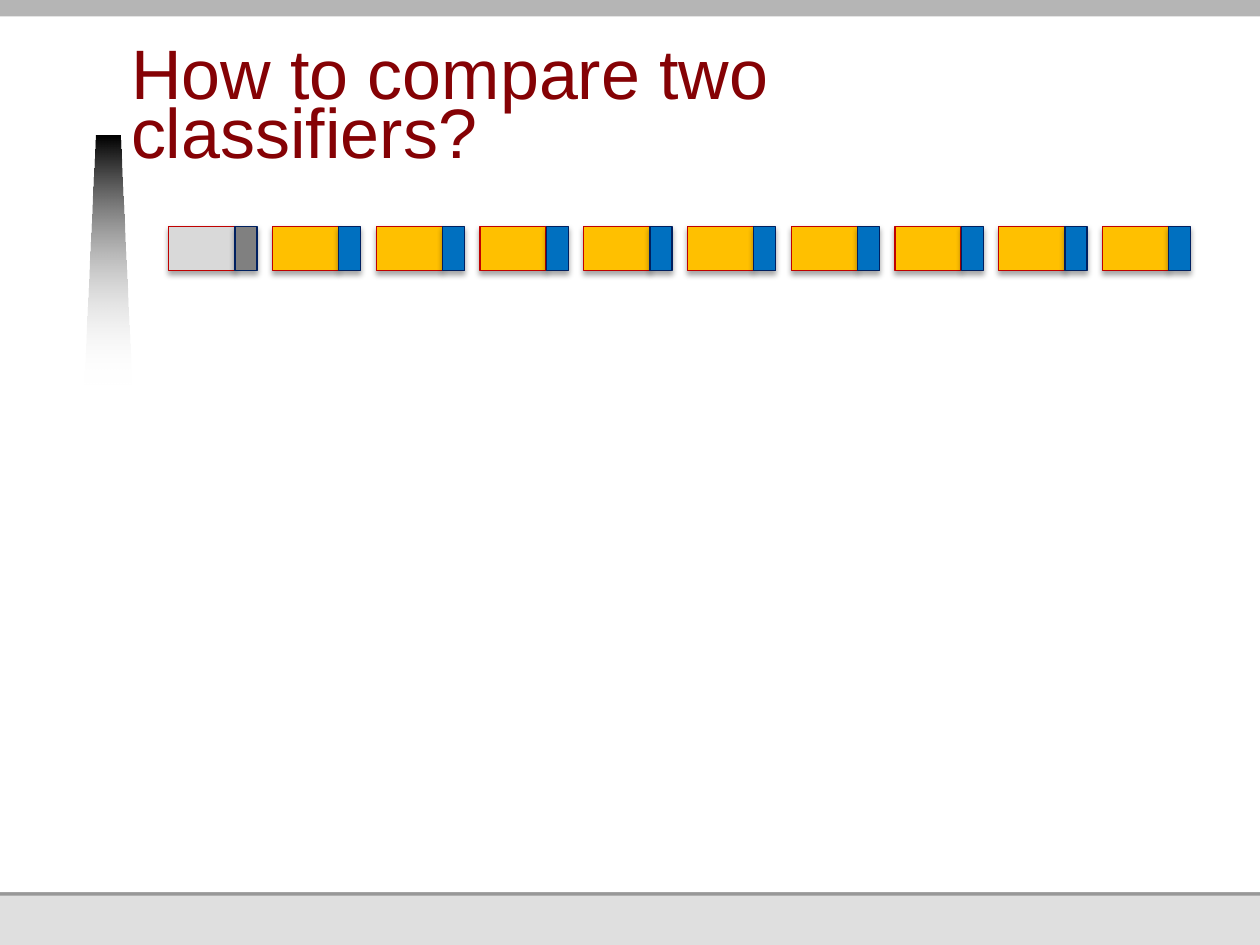
from lxml import etree
from pptx import Presentation
from pptx.dml.color import RGBColor
from pptx.enum.shapes import MSO_SHAPE
from pptx.enum.text import MSO_ANCHOR
from pptx.oxml import parse_xml
from pptx.oxml.ns import qn
from pptx.util import Inches, Pt

RECT = MSO_SHAPE.RECTANGLE
BOTTOM = MSO_ANCHOR.BOTTOM

BLACK = RGBColor(0x00, 0x00, 0x00)
WHITE = RGBColor(0xFF, 0xFF, 0xFF)
PALE = RGBColor(0xDF, 0xDF, 0xDF)
MID = RGBColor(0x98, 0x98, 0x98)
SILVER = RGBColor(0xB5, 0xB5, 0xB5)
LIGHT = RGBColor(0xD9, 0xD9, 0xD9)
GRAY = RGBColor(0x80, 0x80, 0x80)
GOLD = RGBColor(0xFF, 0xC0, 0x00)
BLUE = RGBColor(0x00, 0x70, 0xC0)
RED = RGBColor(0xC0, 0x00, 0x00)
NAVY = RGBColor(0x00, 0x20, 0x60)
MAROON = RGBColor(0x85, 0x02, 0x05)

SHADOW = (
    '<a:outerShdw xmlns:a="http://schemas.openxmlformats.org/drawingml/2006/main"'
    ' blurRad="40000" dist="23000" dir="5400000" rotWithShape="0">'
    '<a:srgbClr val="000000"><a:alpha val="35000"/></a:srgbClr></a:outerShdw>'
)


def add_rect(parent, left, top, width, height, color):
    rect = parent.add_shape(
        RECT, Inches(left), Inches(top), Inches(width), Inches(height)
    )
    rect.shadow.inherit = False
    rect.fill.solid()
    rect.fill.fore_color.rgb = color
    rect.line.fill.background()
    return rect


prs = Presentation()
prs.slide_width = Inches(10)
prs.slide_height = Inches(7.5)
slide = prs.slides.add_slide(prs.slide_layouts[6])
shapes = slide.shapes

for left, top, width, height, color in [
    (0, 0, 10, 7.5, PALE),
    (0, 1.78, 10, 5.33, MID),
    (0, 0, 10, 7.08, WHITE),
    (0, 0, 7.9, 0.11, MID),
]:
    add_rect(shapes, left, top, width, height, color)

pen = shapes.build_freeform(Inches(0.67), Inches(3.05))
pen.add_line_segments(
    [(Inches(x), Inches(y)) for x, y in [(0.76, 1.08), (0.95, 1.08), (1.04, 3.05)]]
)
beam = pen.convert_to_shape()
beam.shadow.inherit = False
beam.line.fill.background()
beam.fill.gradient()
beam.fill.gradient_angle = 270
for stop, color, place in zip(beam.fill.gradient_stops, (BLACK, WHITE), (0, 1)):
    stop.color.rgb = color
    stop.position = place
tint = beam._element.spPr.findall(".//" + qn("a:srgbClr"))[-1]
etree.SubElement(tint, qn("a:alpha")).set("val", "0")

add_rect(shapes, 0, -0.04, 10.17, 0.17, SILVER)

title = shapes.add_textbox(Inches(1.04), Inches(0.34), Inches(6.87), Inches(1.08))
frame = title.text_frame
frame.word_wrap = True
frame.vertical_anchor = BOTTOM
frame.margin_left = frame.margin_right = frame.margin_top = 0
frame.margin_bottom = Inches(0.05)
frame.text = "How to compare two classifiers?"
para = frame.paragraphs[0]
para.line_spacing = Pt(34)
font = para.runs[0].font
font.name = "Arial"
font.size = Pt(40)
font.color.rgb = MAROON

FOLDS = 10
FIRST, LAST = 1.34, 8.75
STEP = (LAST - FIRST) / (FOLDS - 1)
TRAIN, TEST = 0.525, 0.175

for fold in range(FOLDS):
    left = FIRST + fold * STEP
    main, side = (GOLD, BLUE) if fold else (LIGHT, GRAY)
    group = shapes.add_group_shape()
    for x, width, color, edge in [
        (left, TRAIN, main, RED),
        (left + TRAIN, TEST, side, NAVY),
    ]:
        part = add_rect(group.shapes, x, 1.8, width, 0.35, color)
        part.line.color.rgb = edge
        part.line.width = Pt(0.75)
        part._element.spPr.find(qn("a:effectLst")).append(parse_xml(SHADOW))

prs.save("out.pptx")
